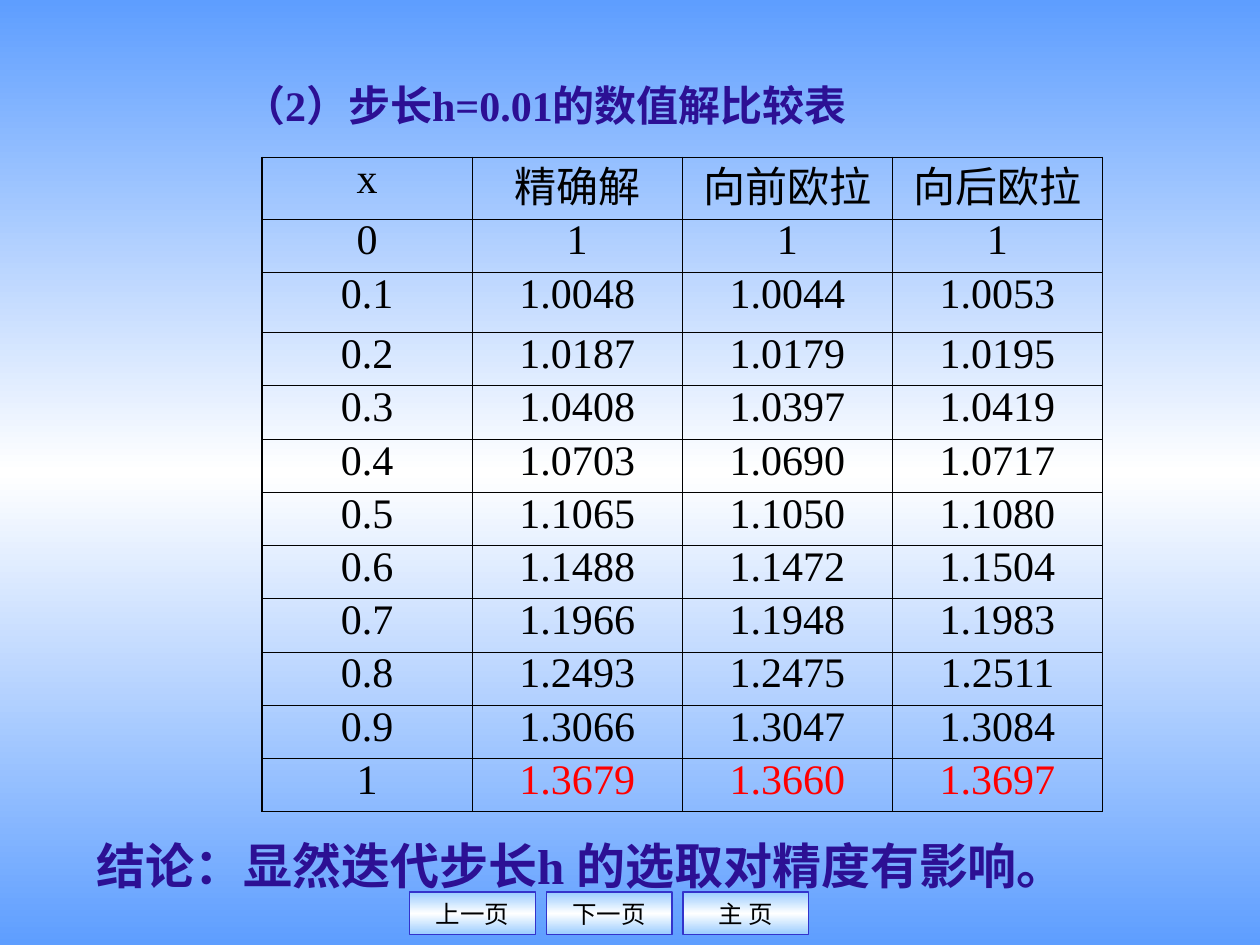
from pptx import Presentation
from pptx.dml.color import RGBColor
from pptx.enum.shapes import MSO_SHAPE
from pptx.enum.text import MSO_ANCHOR, MSO_AUTO_SIZE, PP_ALIGN
from pptx.oxml.ns import qn
from pptx.util import Inches, Pt
from copy import deepcopy
from lxml import etree

RECTANGLE = MSO_SHAPE.RECTANGLE
TOP, MIDDLE = MSO_ANCHOR.TOP, MSO_ANCHOR.MIDDLE
LEFT, CENTER = PP_ALIGN.LEFT, PP_ALIGN.CENTER
NO_AUTOFIT = MSO_AUTO_SIZE.NONE

LATIN, CJK = "Times New Roman", "Noto Sans CJK SC"
INK, PURPLE, RED = "000000", "2C1094", "FF0000"
TITLE_ONLY = 5
INNER_BORDER, OUTER_BORDER = 0.45, 1.08

HEADERS = ["x", "精确解", "向前欧拉", "向后欧拉"]
SOLUTIONS = [
    ["0", "1", "1", "1"],
    ["0.1", "1.0048", "1.0044", "1.0053"],
    ["0.2", "1.0187", "1.0179", "1.0195"],
    ["0.3", "1.0408", "1.0397", "1.0419"],
    ["0.4", "1.0703", "1.0690", "1.0717"],
    ["0.5", "1.1065", "1.1050", "1.1080"],
    ["0.6", "1.1488", "1.1472", "1.1504"],
    ["0.7", "1.1966", "1.1948", "1.1983"],
    ["0.8", "1.2493", "1.2475", "1.2511"],
    ["0.9", "1.3066", "1.3047", "1.3084"],
    ["1", "1.3679", "1.3660", "1.3697"],
]


def color(value):
    return RGBColor.from_string(value)


def write(frame, text, size, ink, font=LATIN, bold=False, align=LEFT):
    paragraph = frame.paragraphs[0]
    paragraph.alignment = align
    run = paragraph.add_run()
    run.text = text
    run.font.name = font
    run.font.size = Pt(size)
    run.font.bold = bold
    run.font.color.rgb = color(ink)
    east_asian = etree.SubElement(run.font._element, qn("a:ea"))
    east_asian.set("typeface", CJK)
    return paragraph


def fill_mirrored(fill, owner, edge):
    fill.gradient()
    fill.gradient_angle = 270
    stop_list = next(owner.iter(qn("a:gsLst")))
    stop_list.append(deepcopy(stop_list[0]))
    stops = zip(fill.gradient_stops, (0, 0.5, 1), (edge, "FFFFFF", edge))
    for stop, position, tone in stops:
        stop.position = position
        stop.color.rgb = color(tone)


def add_nav_button(slide, left, label):
    button = slide.shapes.add_shape(
        RECTANGLE, Inches(left), Inches(7.08), Inches(1), Inches(0.34))
    button.shadow.inherit = False
    fill_mirrored(button.fill, button.element, "99CCFF")
    button.line.color.rgb = color("3333CC")
    button.line.width = Pt(0.75)
    button.text_frame.vertical_anchor = MIDDLE
    write(button.text_frame, label, 14, INK, font=CJK, align=CENTER)


def place_statement(statement, left, top, width, height, text, size):
    statement.left, statement.top = Inches(left), Inches(top)
    statement.width, statement.height = Inches(width), Inches(height)
    frame = statement.text_frame
    frame.word_wrap = True
    frame.auto_size = NO_AUTOFIT
    frame.vertical_anchor = TOP
    write(frame, text, size, PURPLE, bold=True)


def set_borders(cell, widths):
    properties = cell._tc.get_or_add_tcPr()
    for side, width in zip("LRTB", widths):
        border = etree.SubElement(properties, qn(f"a:ln{side}"), w=str(Pt(width)))
        solid = etree.SubElement(border, qn("a:solidFill"))
        etree.SubElement(solid, qn("a:srgbClr"), val=INK)


def add_solution_table(slide):
    rows = [HEADERS] + SOLUTIONS
    last_row, last_column = len(rows) - 1, len(HEADERS) - 1
    table = slide.shapes.add_table(
        len(rows), len(HEADERS),
        Inches(2.08), Inches(1.25), Inches(6.67), Inches(5.13)).table
    table.first_row = table.horz_banding = False
    tall_row, tall_height = 2, 0.48
    for r, values in enumerate(rows):
        height = tall_height if r == tall_row else (5.13 - tall_height) / last_row
        table.rows[r].height = Inches(height)
        for c, value in enumerate(values):
            cell = table.cell(r, c)
            edges = (c == 0, c == last_column, r == 0, r == last_row)
            set_borders(cell, [OUTER_BORDER if edge else INNER_BORDER for edge in edges])
            cell.fill.background()
            ink = RED if r == last_row and c > 0 else INK
            paragraph = write(cell.text_frame, value, 24, ink, align=CENTER)
            paragraph.line_spacing = 0.8


def main():
    deck = Presentation()
    deck.slide_width, deck.slide_height = Inches(10), Inches(7.5)
    slide = deck.slides.add_slide(deck.slide_layouts[TITLE_ONLY])
    fill_mirrored(slide.background.fill, slide.element, "5E9EFF")
    for position, label in enumerate(["主 页", "下一页", "上一页"]):
        add_nav_button(slide, 5.42 - 1.085 * position, label)
    place_statement(slide.shapes.title, 1.83, 0.58, 5.67, 0.5,
                    "（2）步长h=0.01的数值解比较表", 24)
    add_solution_table(slide)
    conclusion = slide.shapes.add_textbox(0, 0, 0, 0)
    place_statement(conclusion, 0.67, 6.58, 8.67, 0.57,
                    "结论：显然迭代步长h 的选取对精度有影响。", 28)
    deck.save("out.pptx")


if __name__ == "__main__":
    main()
